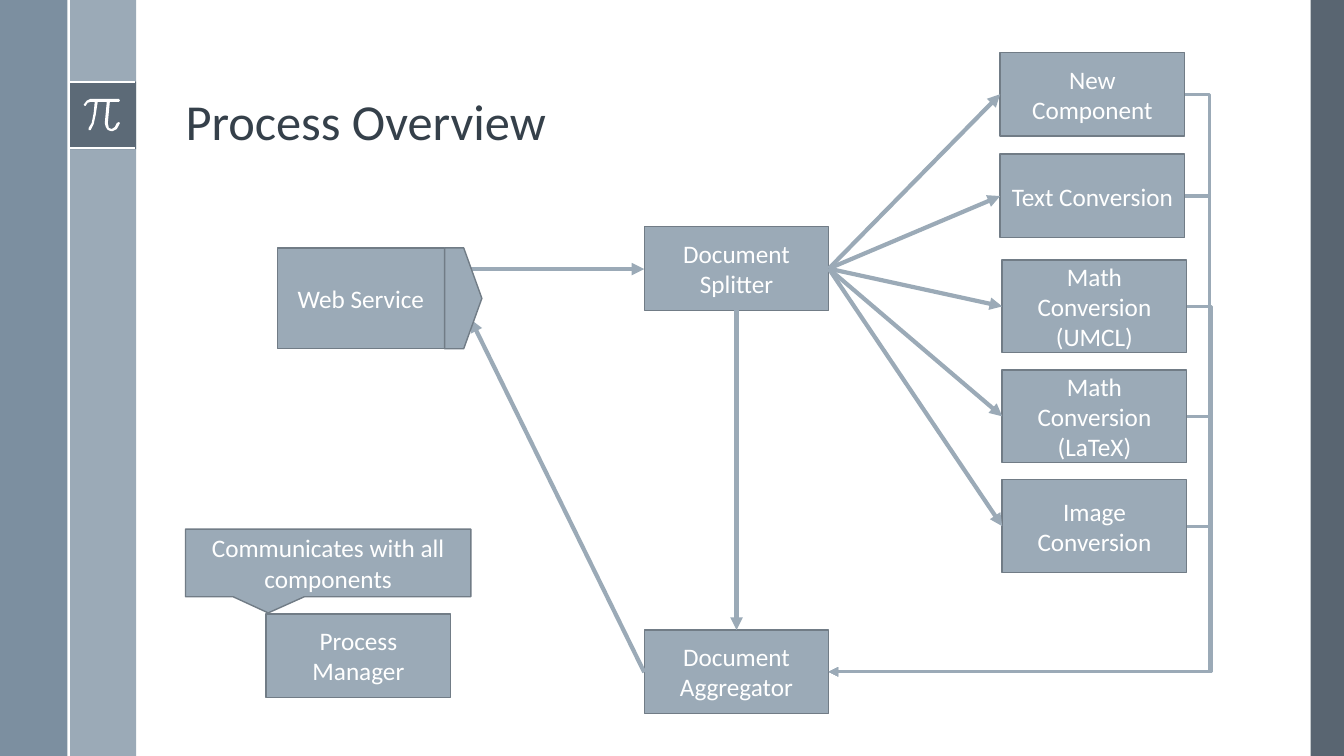
from typing import NamedTuple

from lxml import etree
from pptx import Presentation
from pptx.dml.color import RGBColor
from pptx.enum.shapes import MSO_CONNECTOR, MSO_SHAPE
from pptx.enum.text import MSO_ANCHOR, MSO_AUTO_SIZE, PP_ALIGN
from pptx.oxml.ns import qn
from pptx.util import Inches, Pt

RECT = MSO_SHAPE.RECTANGLE
CALLOUT = MSO_SHAPE.RECTANGULAR_CALLOUT
STRAIGHT, ELBOW = MSO_CONNECTOR.STRAIGHT, MSO_CONNECTOR.ELBOW
MIDDLE, BOTTOM = MSO_ANCHOR.MIDDLE, MSO_ANCHOR.BOTTOM
CENTER, LEFT = PP_ALIGN.CENTER, PP_ALIGN.LEFT
NO_FIT = MSO_AUTO_SIZE.NONE
TOP_SIDE, LEFT_SIDE, BOTTOM_SIDE, RIGHT_SIDE = range(4)

FONT = "Calibri"
WHITE, STEEL, EDGE, SLATE = "FFFFFF", "9BAAB7", "717C86", "475562"
BLUE, INK = "6A8093", "35404A"


class Panel(NamedTuple):
    left: float
    top: float
    width: float
    height: float
    color: str
    alpha: int


class Box(NamedTuple):
    text: str
    left: float
    top: float
    width: float = 1.83
    height: float = 0.83
    kind: int = RECT


class Line(NamedTuple):
    x1: float
    y1: float
    x2: float
    y2: float
    color: str
    width: float
    arrow: bool = False


PANELS = [
    Panel(13, 0, 0.33, 7.5, SLATE, 90),
    Panel(0.68, 0, 0.67, 7.5, STEEL, 100),
    Panel(0, 0, 0.67, 7.5, BLUE, 88),
    Panel(0.68, 0.81, 0.67, 0.67, SLATE, 75),
]
RULES = [
    Line(0.68, 0.81, 1.34, 0.81, WHITE, 1.5),
    Line(0.68, 1.47, 1.34, 1.47, WHITE, 1.5),
    Line(0.68, 0, 0.68, 7.5, WHITE, 1.5),
]
PI = [
    (1.18, 0.98), (0.9, 0.98), (0.86, 1), (0.83, 1.04), (0.84, 1.05),
    (0.85, 1.05), (0.87, 1.02), (0.9, 1.01), (0.94, 1.01), (0.93, 1.12),
    (0.91, 1.22), (0.88, 1.27), (0.88, 1.29), (0.9, 1.29), (0.93, 1.23),
    (0.95, 1.14), (0.97, 1.01), (1.06, 1.01), (1.04, 1.22), (1.05, 1.26),
    (1.07, 1.29), (1.1, 1.3), (1.12, 1.3), (1.16, 1.28), (1.19, 1.22),
    (1.18, 1.21), (1.16, 1.22), (1.14, 1.26), (1.11, 1.28), (1.08, 1.27),
    (1.07, 1.22), (1.09, 1.01), (1.18, 1.01), (1.19, 1),
]
PORT = [(4.41, 2.46), (4.6, 2.46), (4.78, 2.96), (4.6, 3.46), (4.41, 3.46)]

SPLIT = Box("Document Splitter", 6.39, 2.25)
MERGE = Box("Document Aggregator", 6.39, 6.25)
STEPS = [
    Box("New Component", 9.92, 0.52),
    Box("Text Conversion", 9.92, 1.53),
] + [
    Box(text, 9.94, 2.58 + 1.09 * row, height=0.92)
    for row, text in enumerate(
        ["Math Conversion (UMCL)", "Math Conversion (LaTeX)", "Image Conversion"]
    )
]
OTHERS = [
    Box("Web Service", 2.75, 2.46, 1.66, 1),
    Box("Process Manager", 2.64, 6.09),
]
NOTE = Box("Communicates with all components", 1.84, 5.25, 2.83, 0.67, CALLOUT)


def rgb(color: str) -> RGBColor:
    return RGBColor.from_string(color)


def paint(shape, color: str, edge: str = "", alpha: int = 100) -> None:
    shape.shadow.inherit = False
    shape.fill.solid()
    shape.fill.fore_color.rgb = rgb(color)
    if alpha < 100:
        tint = shape.fill._xPr.find(qn("a:solidFill"))[0]
        etree.SubElement(tint, qn("a:alpha"), val=str(alpha * 1000))
    if edge:
        shape.line.color.rgb = rgb(edge)
        shape.line.width = Pt(1)
    else:
        shape.line.fill.background()


def write(shape, text: str, size: int, color: str, align, anchor) -> None:
    frame = shape.text_frame
    frame.text = text
    frame.word_wrap = True
    frame.auto_size = NO_FIT
    frame.vertical_anchor = anchor
    para = frame.paragraphs[0]
    para.alignment = align
    para.font.name = FONT
    para.font.size = Pt(size)
    para.font.color.rgb = rgb(color)


def place(shapes, kind, left: float, top: float, width: float, height: float):
    return shapes.add_shape(
        kind, Inches(left), Inches(top), Inches(width), Inches(height)
    )


def add_box(shapes, box: Box):
    shape = place(shapes, box.kind, box.left, box.top, box.width, box.height)
    paint(shape, STEEL, EDGE)
    write(shape, box.text, 18, WHITE, CENTER, MIDDLE)
    return shape


def style(link, color: str, width: float, arrow: bool) -> None:
    link.line.color.rgb = rgb(color)
    link.line.width = Pt(width)
    if arrow:
        etree.SubElement(link.line._ln, qn("a:tailEnd"), type="triangle")
    etree.SubElement(link._element.spPr, qn("a:effectLst"))


def add_line(shapes, line: Line) -> None:
    ends = [Inches(value) for value in line[:4]]
    link = shapes.add_connector(STRAIGHT, *ends)
    style(link, line.color, line.width, line.arrow)


def join(shapes, kind, start, out: int, stop, into: int, width: float):
    link = shapes.add_connector(kind, 0, 0, 0, 0)
    link.begin_connect(start, out)
    link.end_connect(stop, into)
    style(link, STEEL, width, True)
    return link


def bend(link, ratio: float) -> None:
    guides = link._element.spPr.find(qn("a:prstGeom")).find(qn("a:avLst"))
    value = round(ratio * 100000)
    etree.SubElement(guides, qn("a:gd"), name="adj1", fmla=f"val {value}")


def add_path(shapes, points: list[tuple[float, float]], color: str, edge: str = "") -> None:
    spots = [(Inches(x), Inches(y)) for x, y in points]
    path = shapes.build_freeform(*spots[0])
    path.add_line_segments(spots[1:], close=True)
    paint(path.convert_to_shape(), color, edge)


def main() -> None:
    deck = Presentation()
    deck.slide_width, deck.slide_height = Inches(13.33), Inches(7.5)
    slide = deck.slides.add_slide(deck.slide_layouts[5])
    shapes = slide.shapes

    title = shapes.title
    title.left, title.top = Inches(1.74), Inches(0.19)
    title.width, title.height = Inches(10.7), Inches(1.36)
    write(title, "Process Overview", 36, INK, LEFT, BOTTOM)
    title.text_frame.paragraphs[0].line_spacing = 0.9

    for panel in PANELS:
        paint(place(shapes, RECT, *panel[:4]), panel.color, alpha=panel.alpha)
    for rule in RULES:
        add_line(shapes, rule)
    add_path(shapes, PI, WHITE)

    for box in OTHERS:
        add_box(shapes, box)
    split, merge = add_box(shapes, SPLIT), add_box(shapes, MERGE)
    for step in STEPS:
        shape = add_box(shapes, step)
        join(shapes, STRAIGHT, split, RIGHT_SIDE, shape, LEFT_SIDE, 3)
        back = join(shapes, ELBOW, shape, RIGHT_SIDE, merge, RIGHT_SIDE, 2.25)
        bend(back, -0.07)
    join(shapes, STRAIGHT, split, BOTTOM_SIDE, merge, TOP_SIDE, 3)
    add_line(shapes, Line(4.67, 2.67, 6.39, 2.67, STEEL, 3, True))
    add_line(shapes, Line(6.39, 6.67, 4.67, 3.17, STEEL, 3, True))
    add_path(shapes, PORT, STEEL, EDGE)

    note = add_box(shapes, NOTE)
    note.adjustments[0], note.adjustments[1] = -0.21, 0.74
    deck.save("out.pptx")


if __name__ == "__main__":
    main()
